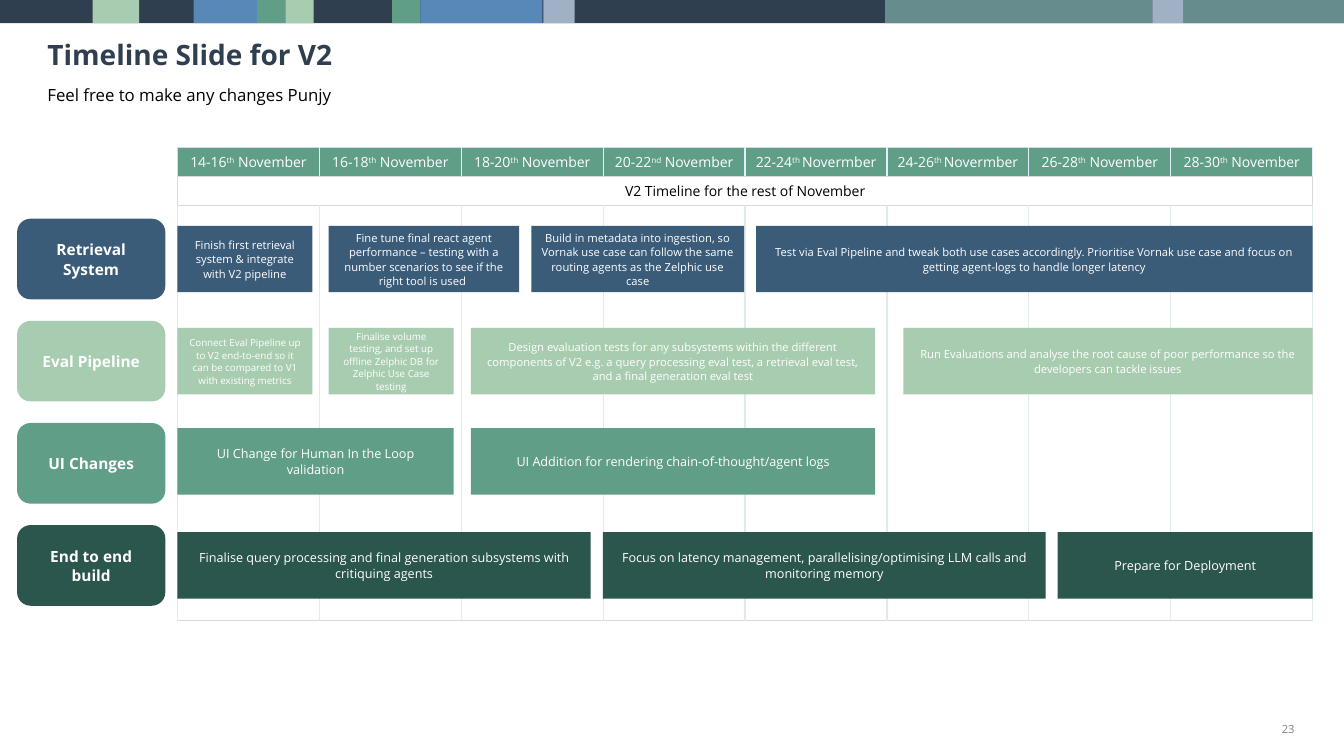
from pptx import Presentation
from pptx.util import Inches, Pt
from pptx.dml.color import RGBColor
from pptx.enum.shapes import MSO_SHAPE as Kind
from pptx.enum.text import PP_ALIGN as Align, MSO_ANCHOR as Anchor
from pptx.oxml.ns import qn
from lxml.etree import SubElement as Sub

FONT = "Open Sans"
WHITE = RGBColor(0xFF, 0xFF, 0xFF)
BLACK = RGBColor(0, 0, 0)
GRAY = RGBColor(0x80, 0x80, 0x80)
NAVY = RGBColor(0x30, 0x3F, 0x50)
BLUE = RGBColor(0x57, 0x88, 0xB7)
HAZE = RGBColor(0xA0, 0xB1, 0xC6)
TEAL = RGBColor(0x67, 0x8C, 0x8D)
STEEL = RGBColor(0x3B, 0x5C, 0x79)
MINT = RGBColor(0xA8, 0xCC, 0xB0)
GREEN = RGBColor(0x60, 0x9E, 0x88)
PINE = RGBColor(0x2A, 0x56, 0x4D)
EDGE = RGBColor(0xD9, 0xD9, 0xD9)
ICE = RGBColor(0xE0, 0xF0, 0xFA)
PALE = RGBColor(0xDF, 0xEC, 0xE7)

# Content
TITLE = "Timeline Slide for V2"
NOTE = "Feel free to make any changes Punjy"
SPAN = "V2 Timeline for the rest of November"
PAGE = "23"

# Top strip: left, width, colour
STRIP = [
    (0, 13.33, NAVY), (0.92, 0.46, MINT), (1.92, 0.64, BLUE),
    (2.55, 0.28, GREEN), (2.83, 0.28, MINT), (3.89, 0.28, GREEN),
    (4.17, 1.21, BLUE), (5.39, 0.31, HAZE), (8.78, 2.65, TEAL),
    (11.43, 0.31, HAZE), (11.74, 1.6, TEAL),
]

# Column heads: days, raised ending, month
DATES = [
    ("14-16", "th", " November"), ("16-18", "th", " November"),
    ("18-20", "th", " November"), ("20-22", "nd", " November"),
    ("22-24", "th ", "Novermber"), ("24-26", "th ", "Novermber"),
    ("26-28", "th", " November"), ("28-30", "th", " November"),
]

# Lanes: name, colour, drop of bars below the label top,
# bars as left, width, text size, text
LANES = [
    ("Retrieval System", STEEL, 0.07, [
        (1.76, 1.34, 8, "Finish first retrieval system & integrate with V2 pipeline"),
        (3.26, 1.89, 8, "Fine tune final react agent performance – testing with a "
                        "number scenarios to see if the right tool is used "),
        (5.27, 2.11, 8, "Build in metadata into ingestion, so Vornak use case can follow "
                        "the same routing agents as the Zelphic use case"),
        (7.5, 5.52, 8, "Test via Eval Pipeline and tweak both use cases accordingly. "
                       "Prioritise Vornak use case and focus on getting agent-logs "
                       "to handle longer latency"),
    ]),
    ("Eval Pipeline", MINT, 0.07, [
        (1.76, 1.34, 7, "Connect Eval Pipeline up to V2 end-to-end so it can be "
                        "compared to V1 with existing metrics"),
        (3.26, 1.24, 7, "Finalise volume testing, and set up offline Zelphic DB for "
                        "Zelphic Use Case testing"),
        (4.67, 4.01, 8, "Design evaluation tests for any subsystems within the different "
                        "components of V2 e.g. a query processing eval test, a retrieval "
                        "eval test, and a final generation eval test"),
        (8.96, 4.06, 8, "Run Evaluations and analyse the root cause of poor performance "
                        "so the developers can tackle issues"),
    ]),
    ("UI Changes", GREEN, 0.05, [
        (1.76, 2.74, 9, "UI Change for Human In the Loop validation"),
        (4.67, 4.01, 9, "UI Addition for rendering chain-of-thought/agent logs"),
    ]),
    ("End to end build", PINE, 0.07, [
        (1.76, 4.1, 9, "Finalise query processing and final generation subsystems "
                       "with critiquing agents"),
        (5.98, 4.39, 9, "Focus on latency management, parallelising/optimising LLM "
                        "calls and monitoring memory"),
        (10.49, 2.53, 9, "Prepare for Deployment"),
    ]),
]

# Layout in inches
GRID_X, GRID_Y, GRID_W = 1.76, 1.46, 11.26
ROWS = [0.29, 0.29, 4.12]
LANE_Y, LAST_Y = 2.17, 5.21
STEP = (LAST_Y - LANE_Y) / (len(LANES) - 1)

deck = Presentation()
deck.slide_width, deck.slide_height = Inches(13.33), Inches(7.5)
slide = deck.slides.add_slide(deck.slide_layouts[6])
shapes = slide.shapes


def add_run(para, text, size, color, bold=False):
    run = para.add_run()
    run.text = text
    font = run.font
    font.name, font.size, font.bold = FONT, Pt(size), bold
    font.color.rgb = color
    return run


def set_frame(frame, pad, anchor):
    frame.word_wrap = True
    frame.vertical_anchor = anchor
    frame.margin_left = frame.margin_right = Inches(pad)
    frame.margin_top = frame.margin_bottom = Inches(pad)


def add_text(box, text, size, color, bold=False, pad=0.04,
             anchor=Anchor.TOP, align=Align.LEFT):
    frame = shapes.add_textbox(*map(Inches, box)).text_frame
    set_frame(frame, pad, anchor)
    para = frame.paragraphs[0]
    para.alignment = align
    add_run(para, text, size, color, bold)


def add_block(kind, box, fill, text="", size=8, bold=False):
    block = shapes.add_shape(kind, *map(Inches, box))
    block.shadow.inherit = False
    block.fill.solid()
    block.fill.fore_color.rgb = fill
    block.line.fill.background()
    if text:
        set_frame(block.text_frame, 0.1, Anchor.MIDDLE)
        para = block.text_frame.paragraphs[0]
        para.alignment, para.line_spacing = Align.CENTER, 1.06
        add_run(para, text, size, WHITE, bold)


def set_cell(cell, fill, left, right):
    cell.vertical_anchor = Anchor.MIDDLE
    cell.margin_left = cell.margin_right = 0
    cell.margin_top = cell.margin_bottom = Inches(0.05)
    props = cell._tc.get_or_add_tcPr()
    for side, color in (("L", left), ("R", right), ("T", EDGE), ("B", EDGE)):
        line = Sub(props, qn("a:ln" + side), w=str(Pt(1)))
        Sub(Sub(line, qn("a:solidFill")), qn("a:srgbClr"), val=str(color))
    if fill is None:
        cell.fill.background()
    else:
        cell.fill.solid()
        cell.fill.fore_color.rgb = fill
    para = cell.text_frame.paragraphs[0]
    para.alignment = Align.CENTER
    return para


# Top strip, titles and page number
for left, width, color in STRIP:
    add_block(Kind.RECTANGLE, (left, 0, width, 0.23), color)
add_text((12.5, 7.17, 0.34, 0.13), PAGE, 8, GRAY, pad=0, align=Align.RIGHT)
add_text((0.43, 0.8, 12.52, 0.3), NOTE, 12, BLACK)
add_text((0.43, 0.36, 12.52, 0.35), TITLE, 20, NAVY, True, anchor=Anchor.MIDDLE)

# Calendar grid
count = len(DATES)
grid = shapes.add_table(len(ROWS), count, Inches(GRID_X), Inches(GRID_Y),
                        Inches(GRID_W), Inches(sum(ROWS))).table
grid.first_row = grid.horz_banding = False
for row, height in zip(grid.rows, ROWS):
    row.height = Inches(height)
for col, (days, end, month) in enumerate(DATES):
    grid.columns[col].width = Inches(GRID_W / count)
    first = col == 0
    head = set_cell(grid.cell(0, col), GREEN, EDGE if first else ICE, ICE)
    add_run(head, days, 10, WHITE)
    raised = add_run(head, end, 10, WHITE)
    raised._r.get_or_add_rPr().set("baseline", "30000")
    add_run(head, month, 10, WHITE)
    band = set_cell(grid.cell(1, col), WHITE, EDGE, EDGE)
    if first:
        add_run(band, SPAN, 10, BLACK)
    set_cell(grid.cell(2, col), None, PALE, PALE)
grid.cell(1, 0).merge(grid.cell(1, count - 1))

# Lanes
for i, (name, color, drop, bars) in enumerate(LANES):
    top = LANE_Y + i * STEP
    add_block(Kind.ROUNDED_RECTANGLE, (0.17, top, 1.47, 0.8), color, name, 11, True)
    for left, width, size, text in bars:
        add_block(Kind.RECTANGLE, (left, top + drop, width, 0.66), color, text, size)

deck.save("out.pptx")
